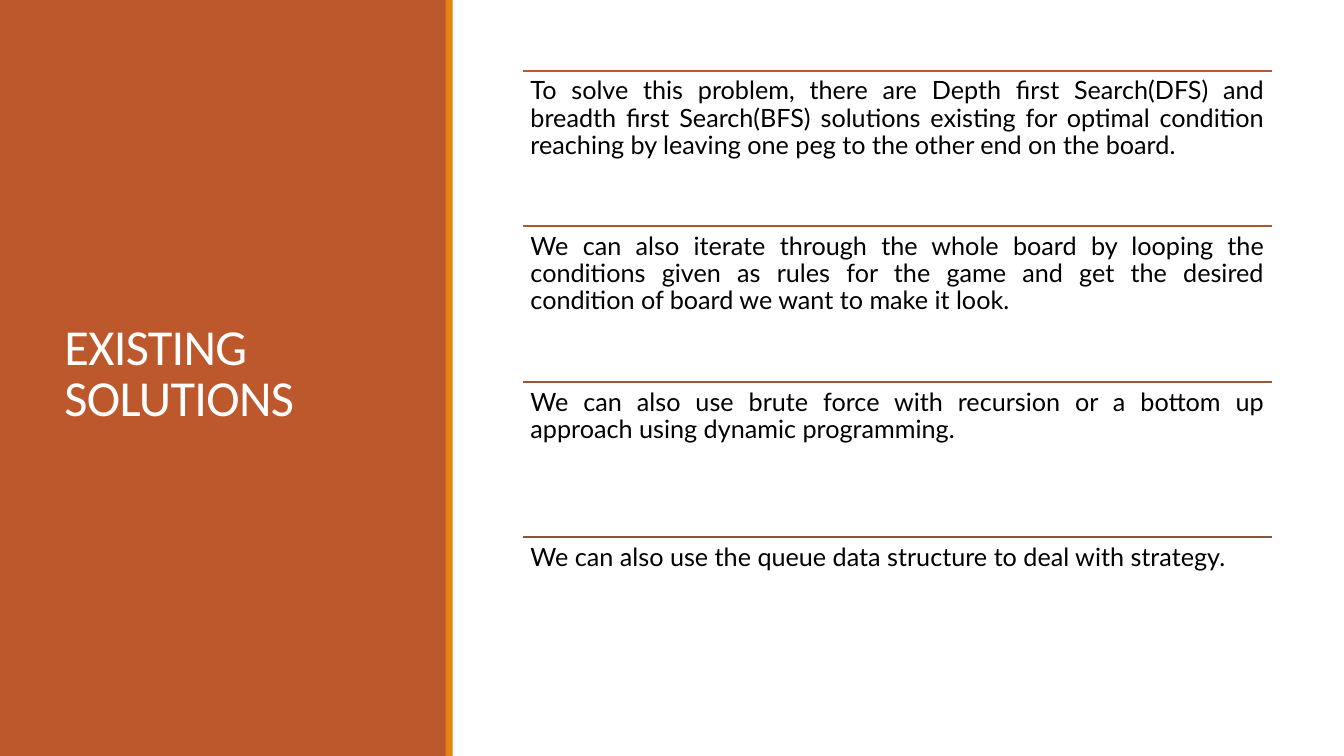
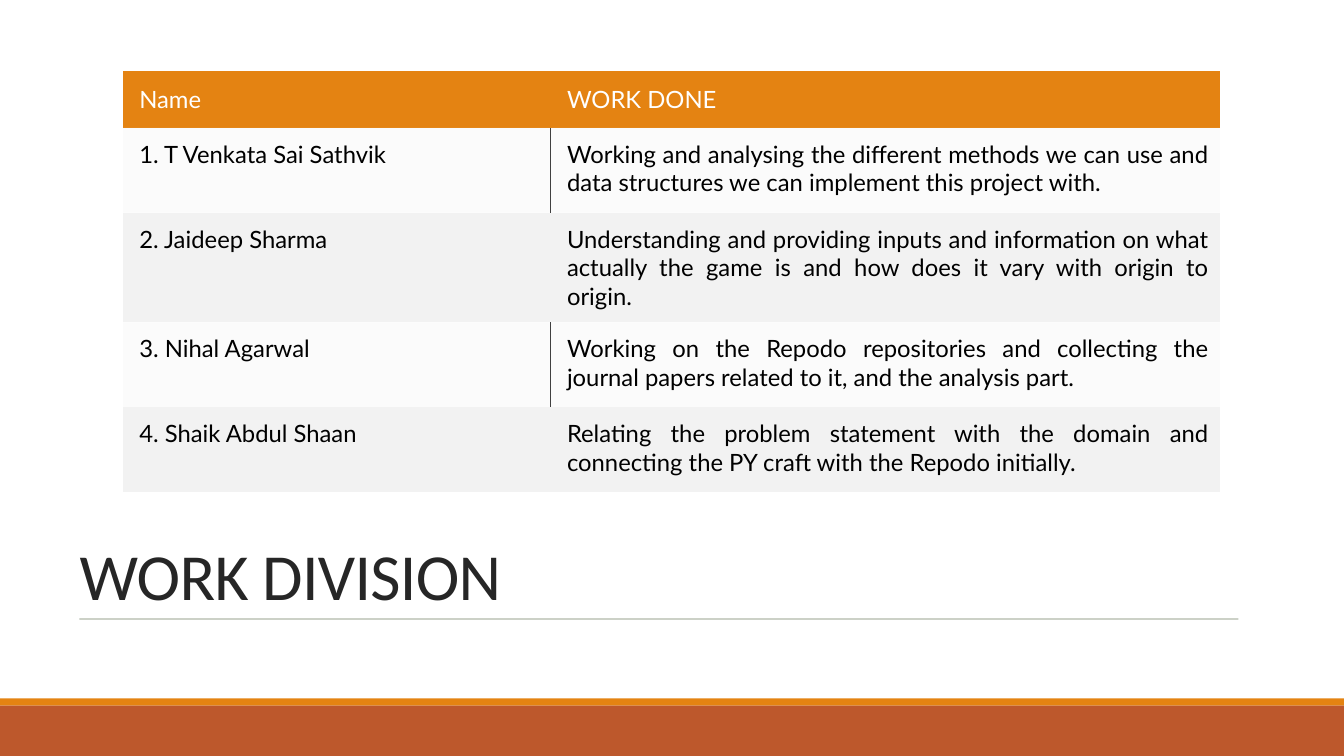
from pptx import Presentation
from pptx.dml.color import RGBColor
from pptx.enum.shapes import MSO_CONNECTOR as Link, MSO_SHAPE as Form
from pptx.enum.text import MSO_ANCHOR as Anchor, MSO_AUTO_SIZE as Fit, PP_ALIGN as Align
from pptx.oxml.ns import qn
from pptx.util import Cm, Pt
from lxml.etree import Element, SubElement

WIDE, HIGH = 33.87, 19.05
RUST, AMBER, WHITE, BLACK = "BD582C", "E48312", "FFFFFF", "000000"
INK, RULE, GREY, EDGE = "262626", "637052", "F2F2F2", "404040"
HEAD, BODY = "Calibri", "Lato"
STRIP = 0.18
NO_STYLE = "{2D5ABB26-0587-4C30-8999-92F81FD0307C}"

POINTS = [
    ("BD582C", "To solve this problem, there are Depth first Search(DFS) and breadth first "
               "Search(BFS) solutions existing for optimal condition reaching by leaving one "
               "peg to the other end on the board."),
    ("AA5834", "We can also iterate through the whole board by looping the conditions given "
               "as rules for the game and get the desired condition of board we want to make "
               "it look."),
    ("97573A", "We can also use brute force with recursion or a bottom up approach using "
               "dynamic programming."),
    ("865640", "We can also use the queue data structure to deal with strategy."),
]
WORK = [
    ("Name", "WORK DONE"),
    ("1. T Venkata Sai Sathvik", "Working and analysing the different methods we can use and "
                                 "data structures we can implement this project with."),
    ("2. Jaideep Sharma", "Understanding and providing inputs and information on what actually "
                          "the game is and how does it vary with origin to origin."),
    ("3. Nihal Agarwal", "Working on the Repodo repositories and collecting the journal papers "
                         "related to it, and the analysis part."),
    ("4. Shaik Abdul Shaan", "Relating the problem statement with the domain and connecting "
                             "the PY craft with the Repodo initially."),
]


def rgb(code):
    return RGBColor.from_string(code)


def paint(fill, hue):
    fill.solid()
    fill.fore_color.rgb = rgb(hue)


def fade(part, share):
    """Set the opacity, in percent, of the colour inside an XML part."""
    tint = next(part.iter(qn("a:srgbClr")))
    SubElement(tint, qn("a:alpha"), val=str(share * 1000))


def write(frame, text, font=BODY, size=18, hue=BLACK, align=Align.JUSTIFY,
          lead=None, track=None):
    para = frame.paragraphs[0]
    para.alignment = align
    if lead:
        para.line_spacing = lead
    run = para.add_run()
    run.text = text
    run.font.name, run.font.size = font, Pt(size)
    run.font.color.rgb = rgb(hue)
    if track is not None:
        run._r.get_or_add_rPr().set("spc", str(track))


def bar(slide, box, hue):
    shape = slide.shapes.add_shape(Form.RECTANGLE, *map(Cm, box))
    shape.shadow.inherit = False
    shape.line.fill.background()
    paint(shape.fill, hue)


def rule(slide, x, y, w, hue, width):
    line = slide.shapes.add_connector(Link.STRAIGHT, Cm(x), Cm(y), Cm(x + w), Cm(y))
    line.line.color.rgb = rgb(hue)
    line.line.width = Pt(width)
    SubElement(line._element.spPr, qn("a:effectLst"))
    return line


def title(slide, box, text, size, hue, anchor):
    """Fill the title placeholder and bring it in front of the bands."""
    head = slide.shapes.title
    head.left, head.top, head.width, head.height = map(Cm, box)
    frame = head.text_frame
    frame.auto_size, frame.word_wrap = Fit.NONE, True
    frame.vertical_anchor = anchor
    write(frame, text, font=HEAD, size=size, hue=hue, align=Align.LEFT,
          lead=0.85, track=-50)
    slide.shapes._spTree.append(head._element)


def points(slide, box, items):
    """Stack texts in equal rows, each under its own rule."""
    x, y, w, h = box
    step = h / len(items)
    for i, (hue, text) in enumerate(items):
        top = y + i * step
        rule(slide, x, top, w, hue, 1.25)
        note = slide.shapes.add_textbox(Cm(x), Cm(top), Cm(w), Cm(step))
        frame = note.text_frame
        frame.word_wrap = True
        frame.margin_left = frame.margin_right = Cm(0.19)
        frame.margin_top = frame.margin_bottom = Cm(0.19)
        write(frame, text, lead=0.9)


def border(cell, side):
    line = Element(qn("a:" + side), w=str(Pt(0.5)))
    fill = SubElement(line, qn("a:solidFill"))
    SubElement(fill, qn("a:srgbClr"), val=EDGE)
    cell._tc.get_or_add_tcPr().insert(0, line)


def grid(slide, box, rows, cols, first):
    """Draw a table with a header of height first and equal rows below."""
    x, y, w, h = box
    table = slide.shapes.add_table(len(rows), len(cols), *map(Cm, box)).table
    table.first_row = table.horz_banding = False
    table._tbl.tblPr.find(qn("a:tableStyleId")).text = NO_STYLE
    for col, share in zip(table.columns, cols):
        col.width = Cm(w * share)
    for r, texts in enumerate(rows):
        table.rows[r].height = Cm(first if r == 0 else (h - first) / (len(rows) - 1))
        for c, text in enumerate(texts):
            cell = table.cell(r, c)
            cell.margin_left, cell.margin_right = Cm(0.41), Cm(0.28)
            cell.margin_top = cell.margin_bottom = Cm(0.3)
            cell.vertical_anchor = Anchor.TOP if r else Anchor.MIDDLE
            write(cell.text_frame, text, size=17, hue=BLACK if r else WHITE)
            paint(cell.fill, GREY if r else AMBER)
            if r % 2:
                fade(cell._tc.tcPr, 30)
                border(cell, "lnL" if c else "lnR")


def solve(slide):
    side = 11.25
    bar(slide, (0, 0, side, HIGH), RUST)
    bar(slide, (side - 0.02, 0, STRIP, HIGH), AMBER)
    title(slide, (1.37, 1.45, 8.56, 16.03), "EXISTING SOLUTIONS", 36, WHITE, Anchor.MIDDLE)
    points(slide, (13.18, 1.78, 18.87, 15.68), POINTS)


def split(slide):
    foot = 17.78
    bar(slide, (0, foot - STRIP, WIDE, STRIP), AMBER)
    bar(slide, (0, foot, WIDE, HIGH - foot), RUST)
    title(slide, (1.75, 12.65, 30.3, 2.95), "WORK DIVISION", 47, INK, Anchor.BOTTOM)
    fade(rule(slide, 2, 15.6, 29.21, RULE, 0.5)._element, 90)
    grid(slide, (3.1, 1.78, 27.64, 10), WORK, (0.39, 0.61), 1.44)


def main():
    deck = Presentation()
    deck.slide_width, deck.slide_height = Cm(WIDE), Cm(HIGH)
    for build in (solve, split):
        build(deck.slides.add_slide(deck.slide_layouts[5]))
    deck.save("out.pptx")


if __name__ == "__main__":
    main()
